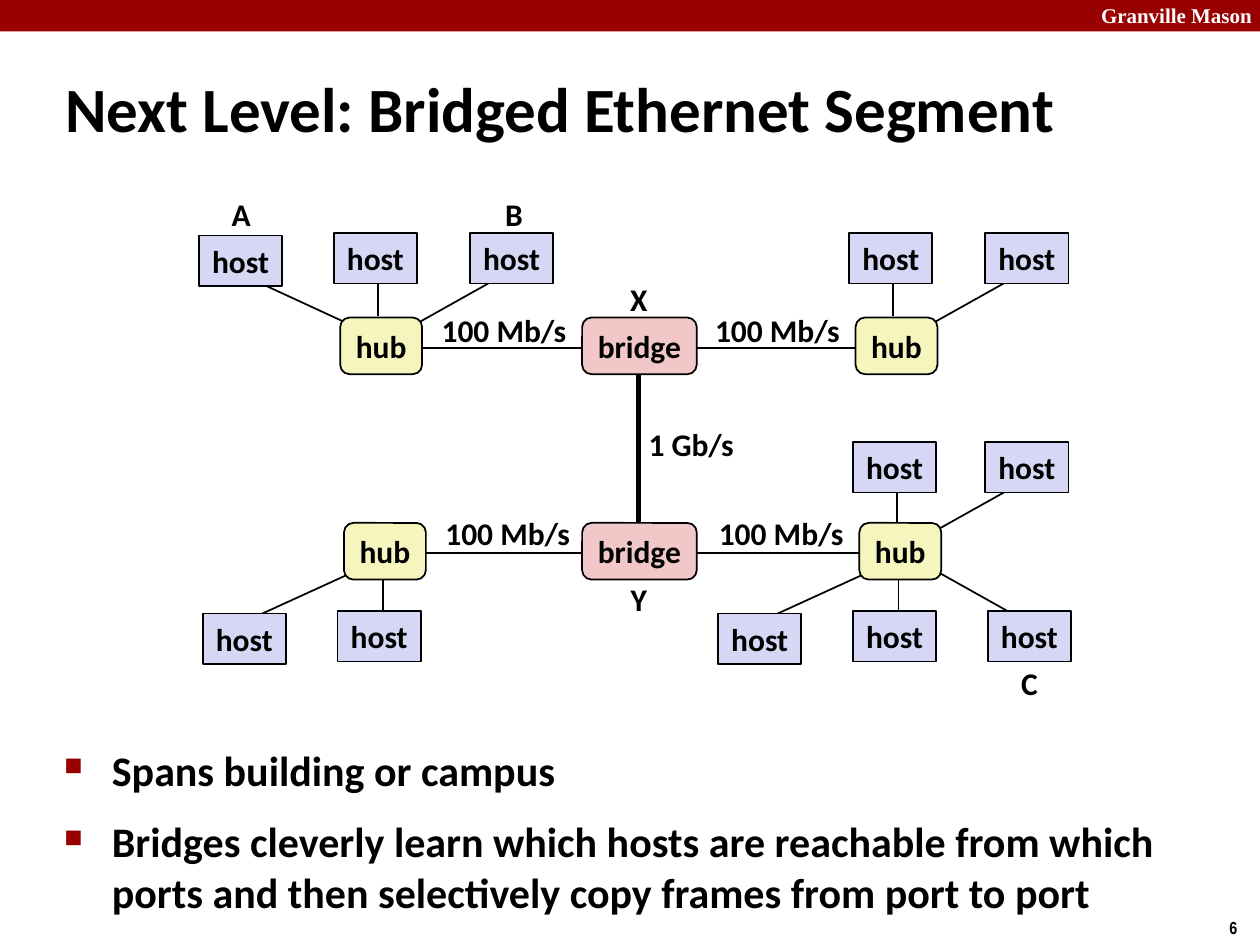
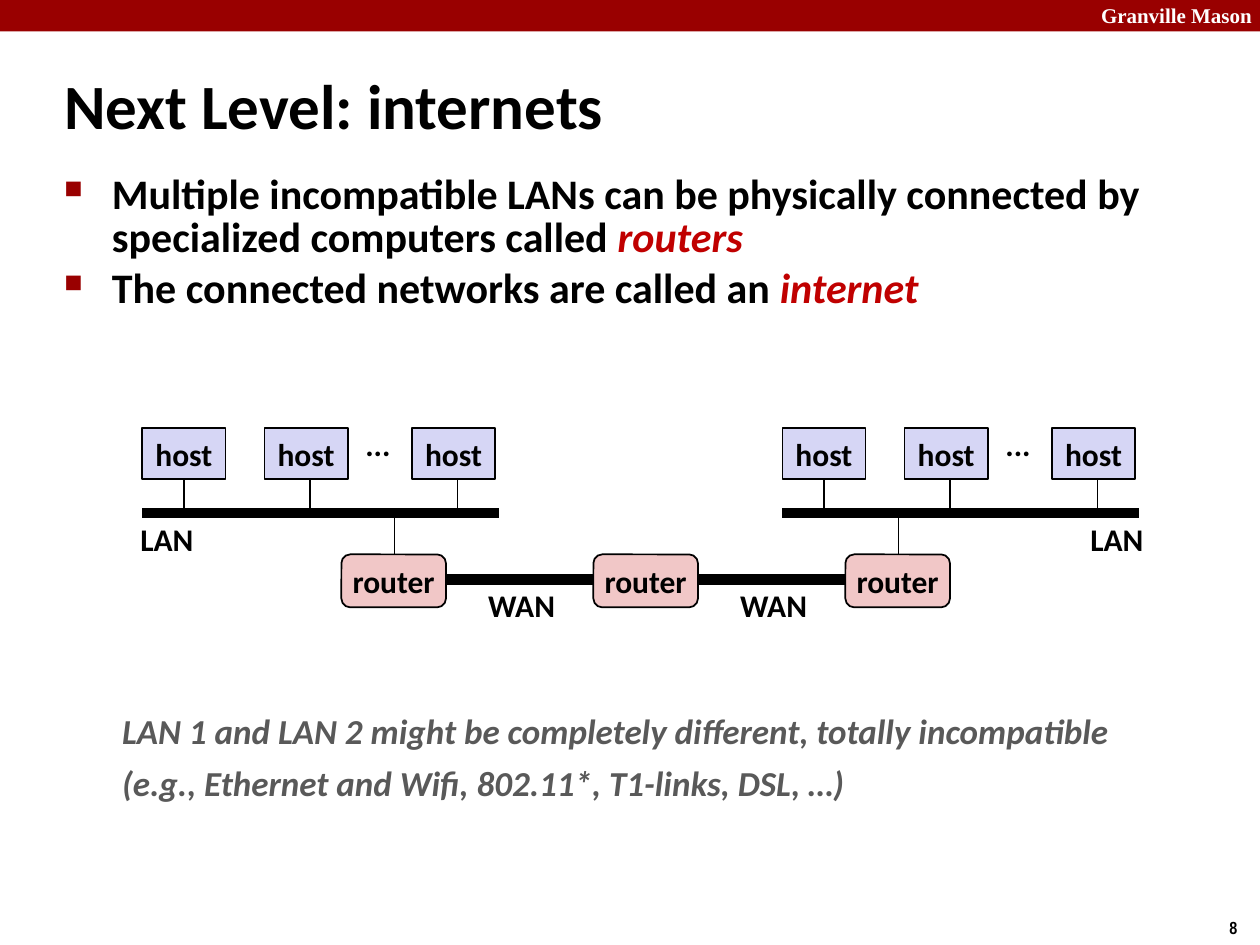
from dataclasses import dataclass

from lxml import etree
from pptx import Presentation
from pptx import util as u
from pptx.dml.color import RGBColor
from pptx.enum import shapes, text
from pptx.oxml import ns


@dataclass(frozen=True)
class Theme:
    # Colours
    band: str = "990000"
    white: str = "FFFFFF"
    ink: str = "000000"
    accent: str = "C00000"
    note: str = "595959"
    host: str = "D6D6F5"
    hub: str = "F6F5BD"
    switch: str = "F1C7C7"
    # Typefaces
    face: str = "Calibri"
    band_face: str = "Times New Roman"
    number_face: str = "Arial Narrow"
    # Type sizes
    title_size: float = 36
    body_size: float = 24
    note_size: float = 20
    label_size: float = 18
    band_size: float = 12
    number_size: float = 10
    # Line widths
    thin: float = 1
    trunk: float = 3
    bus: float = 6


THEME = Theme()
RECT = shapes.MSO_SHAPE.RECTANGLE
ROUNDED = shapes.MSO_SHAPE.ROUNDED_RECTANGLE
CENTER = text.PP_ALIGN.CENTER
MIDDLE = text.MSO_ANCHOR.MIDDLE

# Offsets from a hub's corner: host corner, then both ends of its link
SPOKES = {
    "up left": ((-1.12, -0.65), (-0.78, -0.34), (0.13, 0.08)),
    "up": ((-0.05, -0.67), (0.3, -0.34), (0.3, -0.01)),
    "up right": ((1.03, -0.67), (1.3, -0.34), (0.55, 0.08)),
    "down left": ((-1.12, 0.72), (0.14, 0.36), (-0.78, 0.78)),
    "down": ((-0.05, 0.7), (0.31, 0.36), (0.31, 0.7)),
    "down right": ((1.02, 0.7), (0.57, 0.36), (1.32, 0.78)),
}


# ---- Basic elements ----

def inches(*lengths):
    return [u.Inches(length) for length in lengths]


def style(font, size, color=THEME.ink, face=THEME.face, italic=None):
    font.name, font.size, font.bold = face, u.Pt(size), True
    font.italic = italic
    font.color.rgb = RGBColor.from_string(color)


def add_text(page, place, lines, size, wrap=True, anchor=None, align=None, **look):
    box = page.shapes.add_textbox(*inches(*place))
    frame = box.text_frame
    frame.word_wrap = wrap
    frame.vertical_anchor = anchor
    for index, line in enumerate(lines):
        para = frame.paragraphs[0] if index == 0 else frame.add_paragraph()
        para.text = line
        para.alignment = align
        style(para.font, size, **look)
    return box


def add_label(page, left, top, width, caption):
    add_text(page, (left, top, width, 0.4), [caption], THEME.label_size,
             wrap=False, anchor=MIDDLE, align=CENTER)


def add_line(page, start, end, width=THEME.thin):
    line = page.shapes.add_connector(
        shapes.MSO_CONNECTOR.STRAIGHT, *inches(*start, *end))
    line.line.width = u.Pt(width)
    line.line.color.rgb = RGBColor.from_string(THEME.ink)
    etree.SubElement(line._element.spPr, ns.qn("a:effectLst"))


def add_node(page, place, caption, fill, kind=ROUNDED):
    node = page.shapes.add_shape(kind, *inches(*place))
    node.shadow.inherit = False
    node.fill.solid()
    node.fill.fore_color.rgb = RGBColor.from_string(fill)
    node.line.color.rgb = RGBColor.from_string(THEME.ink)
    node.line.width = u.Pt(THEME.thin)
    frame = node.text_frame
    frame.word_wrap = False
    frame.vertical_anchor = MIDDLE
    para = frame.paragraphs[0]
    para.text = caption
    para.alignment = CENTER
    style(para.font, THEME.label_size)


def add_host(page, left, top):
    add_node(page, (left, top, 0.66, 0.4), "host", THEME.host, RECT)


def set_bullet(para):
    props = para._p.get_or_add_pPr()
    props.set("marL", str(u.Inches(0.38)))
    props.set("indent", str(-u.Inches(0.38)))
    color = etree.SubElement(props, ns.qn("a:buClr"))
    etree.SubElement(color, ns.qn("a:srgbClr"), val=THEME.band)
    etree.SubElement(props, ns.qn("a:buSzPct"), val="60000")
    etree.SubElement(props, ns.qn("a:buChar"), char="■")


def add_bullets(page, place, items):
    """Each item is (plain text, emphasised ending, line spacing, space before)."""
    frame = page.shapes.add_textbox(*inches(*place)).text_frame
    frame.word_wrap = True
    for index, (plain, emphasis, spacing, before) in enumerate(items):
        para = frame.paragraphs[0] if index == 0 else frame.add_paragraph()
        set_bullet(para)
        para.line_spacing = spacing
        para.space_before = u.Pt(before)
        style(para.font, THEME.body_size)
        para.add_run().text = plain
        if emphasis:
            span = para.add_run()
            span.text = emphasis
            style(span.font, THEME.body_size, THEME.accent, italic=True)


# ---- Shared page frame ----

def add_page(deck, title, title_place, number):
    page = deck.slides.add_slide(deck.slide_layouts[6])
    band = page.shapes.add_shape(RECT, *inches(0, 0, 10, 0.25))
    band.shadow.inherit = False
    band.fill.solid()
    band.fill.fore_color.rgb = RGBColor.from_string(THEME.band)
    band.line.fill.background()
    add_text(page, (8.64, -0.03, 1.43, 0.3), ["Granville Mason"],
             THEME.band_size, color=THEME.white, face=THEME.band_face)
    add_text(page, (9.66, 7.23, 0.34, 0.27), [number], THEME.number_size,
             wrap=False, face=THEME.number_face)
    add_text(page, title_place, [title], THEME.title_size, anchor=MIDDLE)
    return page


# ---- Network parts ----

def add_spokes(page, left, top, names):
    for name in names:
        host, start, end = SPOKES[name]
        add_line(page, *[(left + x, top + y) for x, y in (start, end)])
        add_host(page, left + host[0], top + host[1])


def add_hub(page, left, top):
    add_node(page, (left, top, 0.65, 0.45), "hub", THEME.hub)


def add_bridge_row(page, hub_left, top, label_top):
    """Two hubs joined to a bridge between them."""
    middle = top + 0.24
    for step in (0, 2.17):
        start = hub_left + 0.6 + step
        add_line(page, (start, middle), (start + 1.42, middle))
        add_label(page, hub_left + 0.7 + step, label_top, 1.2, "100 Mb/s")
    for left in (hub_left, hub_left + 4.09):
        add_hub(page, left, top)
    add_node(page, (4.62, top, 0.91, 0.45), "bridge", THEME.switch)


def add_lan(page, left):
    bus_top = 4.07
    add_line(page, (left, bus_top), (left + 2.83, bus_top), THEME.bus)
    for host_step, drop_step in ((0, 0.33), (0.97, 1.33), (2.14, 2.5)):
        drop = left + drop_step
        add_line(page, (drop, 3.74), (drop, bus_top))
        add_host(page, left + host_step, 3.4)
    add_label(page, left + 1.67, 3.32, 0.4, "...")


# ---- Pages ----

def build_bridged_segment(deck):
    page = add_page(deck, "Next Level: Bridged Ethernet Segment",
                    (0.42, 0.54, 8.99, 0.63), "6")
    add_line(page, (5.07, 2.96), (5.07, 4.16), THEME.trunk)

    # Hosts around each hub
    add_spokes(page, 2.7, 2.52, ("up left", "up", "up right"))
    add_spokes(page, 6.79, 2.52, ("up", "up right"))
    add_spokes(page, 2.73, 4.15, ("down left", "down"))
    add_spokes(page, 6.82, 4.15, ("down left", "down", "down right"))
    add_spokes(page, 6.82, 4.18, ("up",))
    add_spokes(page, 6.79, 4.18, ("up right",))

    # Hubs and bridges
    add_bridge_row(page, 2.7, 2.52, 2.42)
    add_bridge_row(page, 2.73, 4.15, 4.03)

    # Names and trunk speed
    add_label(page, 5.04, 3.32, 0.89, "1 Gb/s")
    for caption, left, top in (("A", 1.74, 1.5), ("B", 3.91, 1.5), ("C", 8, 5.22),
                               ("X", 4.9, 2.17), ("Y", 4.9, 4.55)):
        add_label(page, left, top, 0.34, caption)

    add_bullets(page, (0.41, 5.92, 9.09, 0.91), [
        ("Spans building or campus", "", 0.85, 4.8),
        ("Bridges cleverly learn which hosts are reachable from which ports "
         "and then selectively copy frames from port to port", "", 1.0, 12),
    ])


def build_internets(deck):
    page = add_page(deck, "Next Level: internets", (0.41, 0.51, 7.05, 0.63), "8")
    add_bullets(page, (0.41, 1.34, 9.09, 1.33), [
        ("Multiple incompatible LANs can be physically connected by "
         "specialized computers called ", "routers", 0.85, 4.8),
        ("The connected networks are called an ", "internet", 0.85, 4.8),
    ])

    # Two LANs, each with a drop to its router
    for lan_left, label_left, drop in ((1.13, 1.01, 3.13), (6.21, 8.55, 7.13)):
        add_lan(page, lan_left)
        add_line(page, (drop, 4.07), (drop, 4.4))
        add_label(page, label_left, 4.08, 0.63, "LAN")

    # Routers chained by WAN links
    for step in (0, 2):
        add_line(page, (3.46 + step, 4.6), (4.8 + step, 4.6), THEME.bus)
        add_label(page, 3.77 + step, 4.6, 0.74, "WAN")
    for index in range(3):
        add_node(page, (2.71 + 2 * index, 4.4, 0.83, 0.42), "router", THEME.switch)

    note = add_text(page, (0.87, 5.58, 8.88, 0.86), [
        "LAN 1 and LAN 2 might be completely different, totally incompatible",
        "(e.g., Ethernet and Wifi, 802.11*, T1-links, DSL, …)",
    ], THEME.note_size, color=THEME.note, italic=True)
    note.text_frame.paragraphs[1].space_before = u.Pt(6)


def main():
    deck = Presentation()
    deck.slide_width, deck.slide_height = inches(10, 7.5)
    build_bridged_segment(deck)
    build_internets(deck)
    deck.save("out.pptx")


if __name__ == "__main__":
    main()
